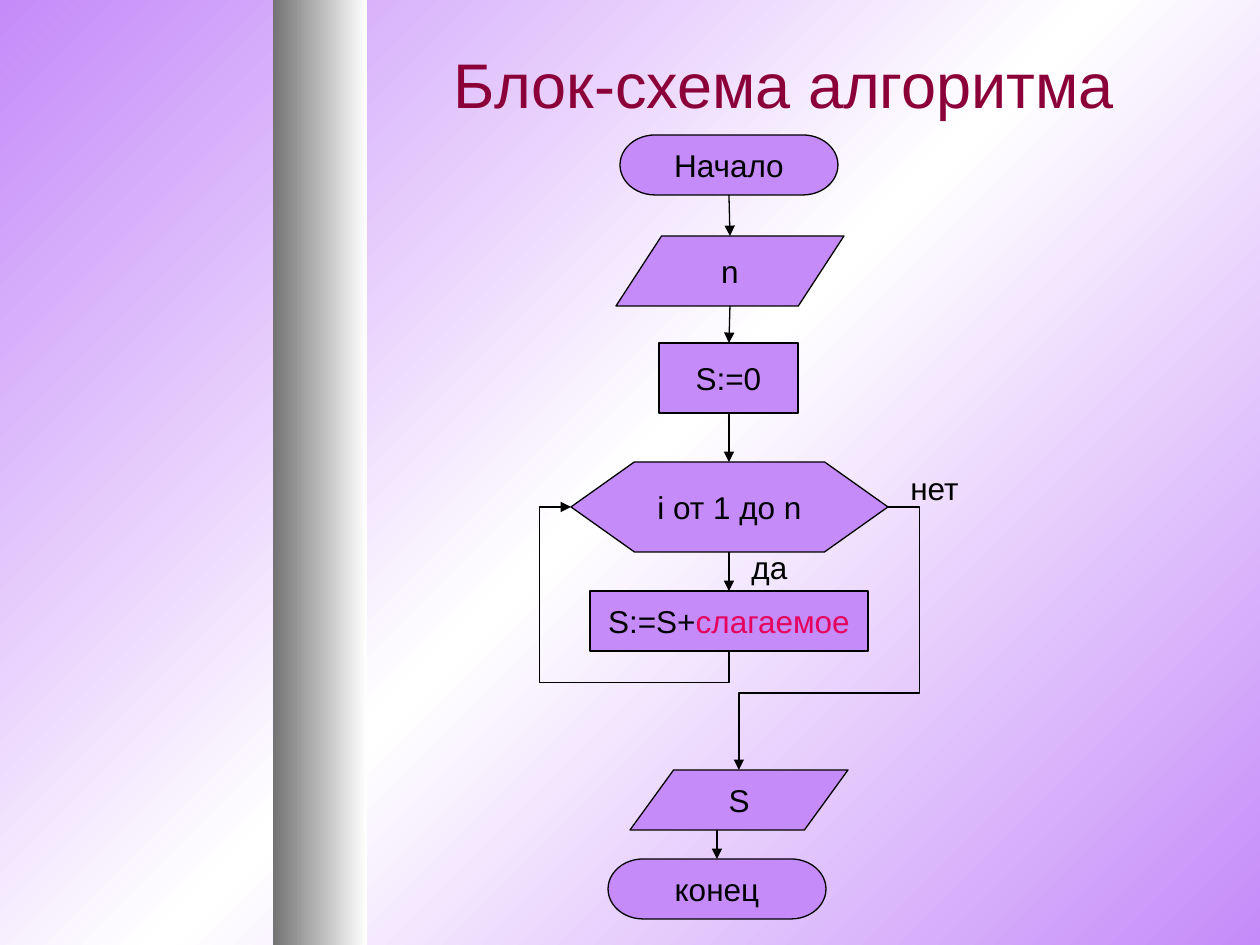
from lxml.etree import SubElement
from pptx import Presentation
from pptx.dml.color import RGBColor
from pptx.enum.shapes import MSO_CONNECTOR as CONN, MSO_SHAPE as SHAPE
from pptx.enum.text import MSO_ANCHOR as ANCHOR, MSO_AUTO_SIZE as AUTO, PP_ALIGN as ALIGN
from pptx.oxml.ns import qn
from pptx.util import Emu, Pt

PX_PER_INCH = 126
COLORS = {
    "violet": "C58BF9",
    "white": "FFFFFF",
    "gray": "737373",
    "black": "000000",
    "wine": "8C0039",
    "pink": "E4005C",
}


def px(n):
    return Emu(round(n * 914400 / PX_PER_INCH))


def rgb(name):
    return RGBColor.from_string(COLORS[name])


def set_gradient(fill, element, names, angle):
    fill.gradient()
    grad = next(element.iter(qn("a:gradFill")))
    stops = grad.find(qn("a:gsLst"))
    for gs in list(stops):
        stops.remove(gs)
    for i, name in enumerate(names):
        gs = SubElement(stops, qn("a:gs"), pos=str(100000 * i // (len(names) - 1)))
        SubElement(gs, qn("a:srgbClr"), val=COLORS[name])
    grad.find(qn("a:lin")).set("ang", str(angle * 60000))


def set_text(s, *parts, size=18, color="black", align=ALIGN.CENTER,
             anchor=ANCHOR.MIDDLE, wrap=False, fit=AUTO.NONE):
    tf = s.text_frame
    tf.word_wrap = wrap
    tf.auto_size = fit
    tf.vertical_anchor = anchor
    p = tf.paragraphs[0]
    p.alignment = align
    for part in parts:
        text, name = part if isinstance(part, tuple) else (part, color)
        r = p.add_run()
        r.text = text
        r.font.name = "Arial"
        r.font.size = Pt(size)
        r.font.color.rgb = rgb(name)


def place(s, x, y, w, h):
    s.left, s.top, s.width, s.height = map(px, (x, y, w, h))


def add_bar(slide, *box):
    s = slide.shapes.add_shape(SHAPE.RECTANGLE, *map(px, box))
    s.shadow.inherit = False
    s.line.fill.background()
    set_gradient(s.fill, s._element, ["white", "gray"], 180)


def add_block(slide, kind, box, *parts):
    s = slide.shapes.add_shape(kind, *map(px, box))
    s.shadow.inherit = False
    s.fill.solid()
    s.fill.fore_color.rgb = rgb("violet")
    s.line.color.rgb = rgb("black")
    s.line.width = Pt(0.75)
    set_text(s, *parts)


def add_label(slide, box, text):
    s = slide.shapes.add_textbox(*map(px, box))
    set_text(s, text, align=ALIGN.LEFT, anchor=ANCHOR.TOP, fit=AUTO.SHAPE_TO_FIT_TEXT)


def add_arrow(slide, x1, y1, x2, y2, kind=CONN.STRAIGHT):
    s = slide.shapes.add_connector(kind, px(x1), px(y1), px(x2), px(y2))
    s.line.color.rgb = rgb("black")
    s.line.width = Pt(0.75)
    sp_pr = s._element.spPr
    SubElement(sp_pr.find(qn("a:ln")), qn("a:tailEnd"), type="triangle")
    SubElement(sp_pr, qn("a:effectLst"))
    return s


def add_bent_arrow(slide, ends, adjusts, rotation=0):
    s = add_arrow(slide, *ends, kind=CONN.ELBOW)
    s.rotation = rotation
    geom = s._element.spPr.find(qn("a:prstGeom"))
    geom.set("prst", "bentConnector4")
    guides = geom.find(qn("a:avLst"))
    for i, value in enumerate(adjusts, 1):
        SubElement(guides, qn("a:gd"), name=f"adj{i}", fmla=f"val {value}")


def main():
    prs = Presentation()
    prs.slide_width, prs.slide_height = px(1260), px(945)
    slide = prs.slides.add_slide(prs.slide_layouts[5])
    set_gradient(slide.background.fill, slide._element, ["violet", "white", "violet"], 225)

    add_bar(slide, 273, 0, 94, 945)
    add_label(slide, (898, 463, 78, 50), "нет")
    add_label(slide, (739, 542, 68, 50), "да")
    place(slide.shapes.title, 343, 35, 882, 96)
    set_text(slide.shapes.title, "Блок-схема алгоритма", size=36, color="wine", wrap=True)

    blocks = [
        (SHAPE.FLOWCHART_TERMINATOR, (620, 135, 218, 60), "Начало"),
        (SHAPE.FLOWCHART_DATA, (616, 236, 228, 70), "n"),
        (SHAPE.FLOWCHART_PROCESS, (659, 343, 139, 70), "S:=0"),
        (SHAPE.FLOWCHART_PREPARATION, (571, 462, 317, 90), "i от 1 до n"),
        (SHAPE.FLOWCHART_PROCESS, (590, 591, 278, 60), "S:=S+", ("слагаемое", "pink")),
        (SHAPE.FLOWCHART_DATA, (630, 770, 218, 60), "S"),
        (SHAPE.FLOWCHART_TERMINATOR, (608, 859, 218, 60), "конец"),
    ]
    for block in blocks:
        add_block(slide, *block)

    arrows = [
        (729, 195, 730, 236),
        (730, 306, 729, 343),
        (729, 413, 729, 462),
        (729, 552, 729, 591),
        (717, 830, 717, 859),
    ]
    for arrow in arrows:
        add_arrow(slide, *arrow)
    add_bent_arrow(slide, (578, 658, 722, 500), (-21900, 119800), rotation=270)
    add_bent_arrow(slide, (888, 507, 739, 770), (-21100, 70800))

    prs.save("out.pptx")


if __name__ == "__main__":
    main()
